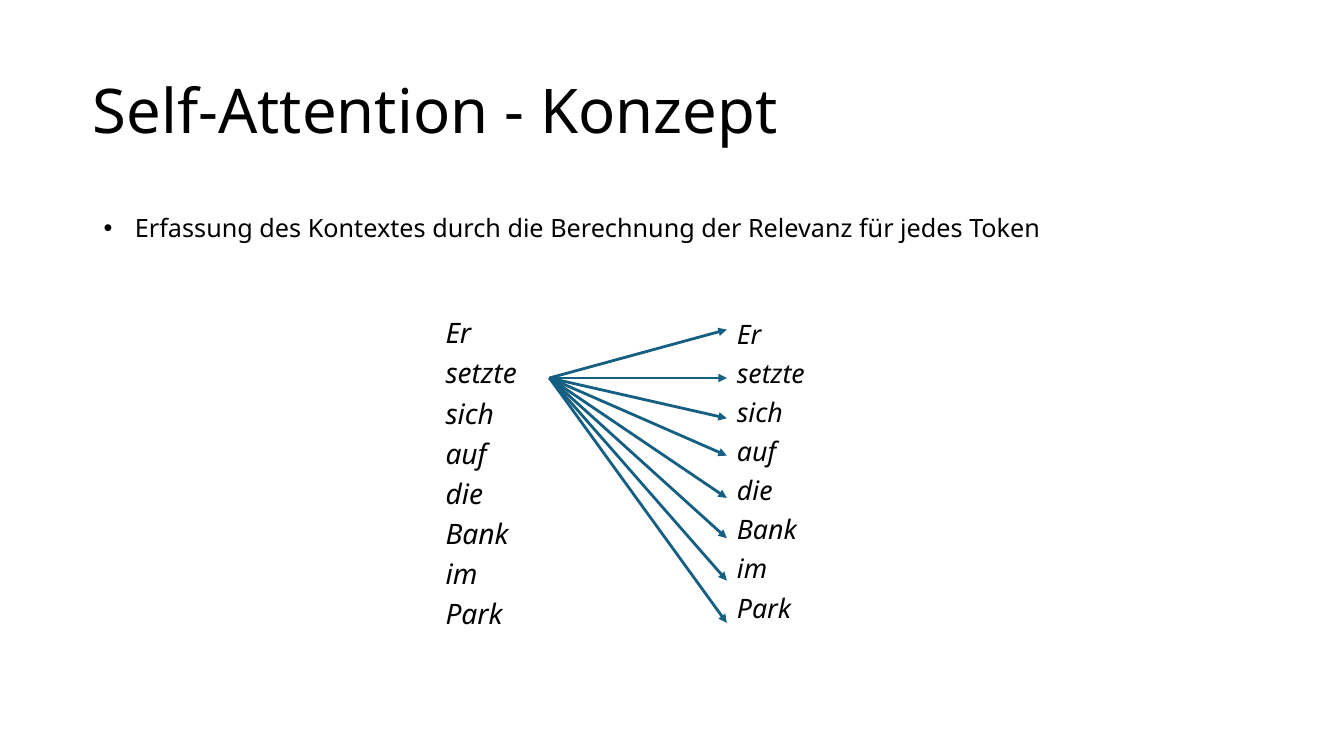
from lxml import etree
from pptx import Presentation
from pptx.dml.color import RGBColor
from pptx.enum.shapes import MSO_CONNECTOR
from pptx.enum.text import MSO_ANCHOR
from pptx.oxml.ns import qn
from pptx.util import Inches, Pt

LINE = MSO_CONNECTOR.STRAIGHT
MIDDLE = MSO_ANCHOR.MIDDLE
FONT = "Noto Sans"
COLORS = {"text": "000000", "arrow": "156082"}
WORDS = ["Er", "setzte", "sich", "auf", "die", "Bank", "im", "Park"]
TOP, TALL, WIDE = 24.67, 63.47, 8.78
SOURCE = (40.88, 50)
TARGET = 54.08
TIPS = [43.6, 50, 55.33, 60.27, 65.87, 71.2, 76.8, 82.4]


class Deck:
    """Style and current slide; lengths are percent of the slide's size."""

    def __init__(self):
        self.prs = Presentation()
        self.prs.slide_width = Inches(13.33)
        self.prs.slide_height = Inches(7.5)
        self.slide = self.prs.slides.add_slide(self.prs.slide_layouts[5])

    def x(self, share):
        return round(self.prs.slide_width * share / 100)

    def y(self, share):
        return round(self.prs.slide_height * share / 100)

    def rect(self, left, top, width, height):
        return self.x(left), self.y(top), self.x(width), self.y(height)

    def style(self, frame, size, italic=False):
        for para in frame.paragraphs:
            for run in para.runs:
                font = run.font
                font.name, font.size, font.italic = FONT, Pt(size), italic
                font.color.rgb = RGBColor.from_string(COLORS["text"])

    def inset(self, frame, left, top):
        frame.margin_left = frame.margin_right = self.x(left)
        frame.margin_top, frame.margin_bottom = self.y(top), 0

    def title(self, text, box):
        shape = self.slide.shapes.title
        shape.left, shape.top, shape.width, shape.height = self.rect(*box)
        frame = shape.text_frame
        frame.text = text
        frame.vertical_anchor = MIDDLE
        self.inset(frame, 0, 0)
        para = frame.paragraphs[0]
        para.alignment = 1
        para.line_spacing = 0.9
        self.style(frame, 44)

    def text(self, text, box, size, italic=False, wrap=True):
        frame = self.slide.shapes.add_textbox(*self.rect(*box)).text_frame
        frame.text = text
        frame.word_wrap = wrap
        self.style(frame, size, italic)
        return frame

    def bullet(self, text, box):
        frame = self.text(text, box, 18, wrap=False)
        props = frame.paragraphs[0]._p.get_or_add_pPr()
        props.set("marL", str(Inches(0.31)))
        props.set("indent", str(-Inches(0.31)))
        etree.SubElement(props, qn("a:buFont"), typeface="Arial")
        etree.SubElement(props, qn("a:buChar"), char="•")

    def words(self, left, size, gap, pad):
        """Column of tokens; pad is the left and top inset."""
        frame = self.text("\n".join(WORDS), (left, TOP, WIDE, TALL), size, True)
        self.inset(frame, *pad)
        for para in frame.paragraphs:
            para.line_spacing = 0.9
            para.space_after = Pt(gap)

    def arrow(self, start, end):
        line = self.slide.shapes.add_connector(
            LINE, self.x(start[0]), self.y(start[1]), self.x(end[0]), self.y(end[1]))
        line.line.color.rgb = RGBColor.from_string(COLORS["arrow"])
        line.line.width = Pt(0)
        etree.SubElement(line.line._get_or_add_ln(), qn("a:tailEnd"), type="triangle")
        etree.SubElement(line._element.spPr, qn("a:effectLst"))


def main():
    deck = Deck()
    deck.title("Self-Attention - Konzept", (6.9, 5.33, 86.26, 19.33))
    deck.words(33.15, 20.1, 6.93, (0, 17.6))
    deck.words(TARGET, 19.1, 7.3, (0.75, 17.8))
    for tip in TIPS:
        deck.arrow(SOURCE, (TARGET, tip))
    deck.bullet("Erfassung des Kontextes durch die Berechnung der Relevanz für jedes Token",
                (6.98, 27.47, 71.25, 5.33))
    deck.prs.save("out.pptx")


if __name__ == "__main__":
    main()
